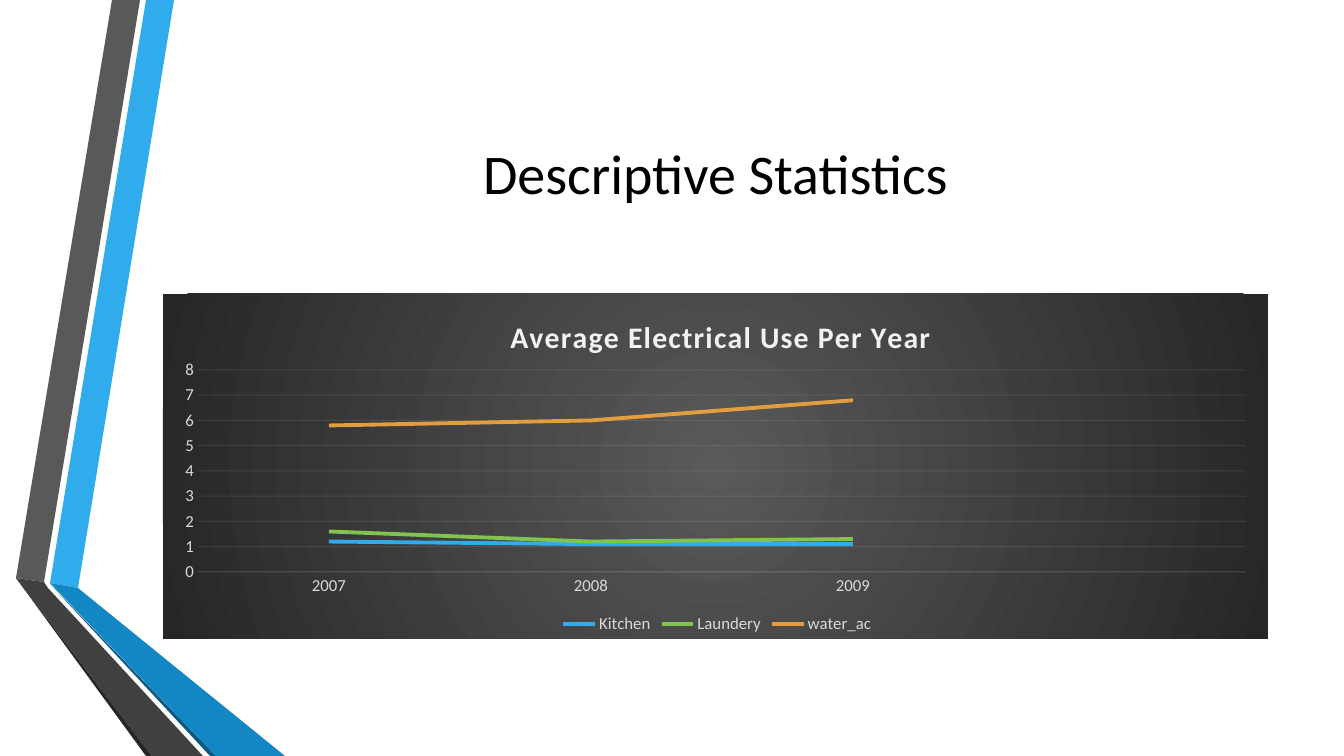
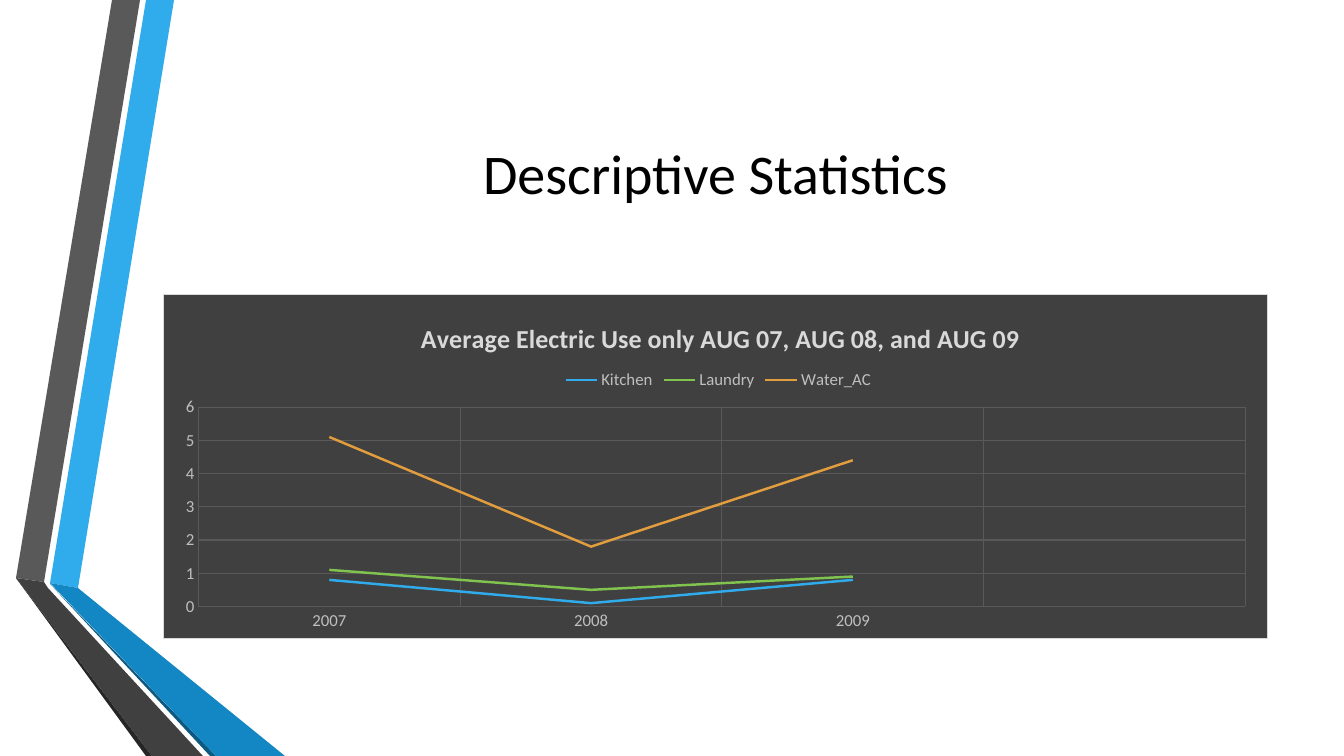
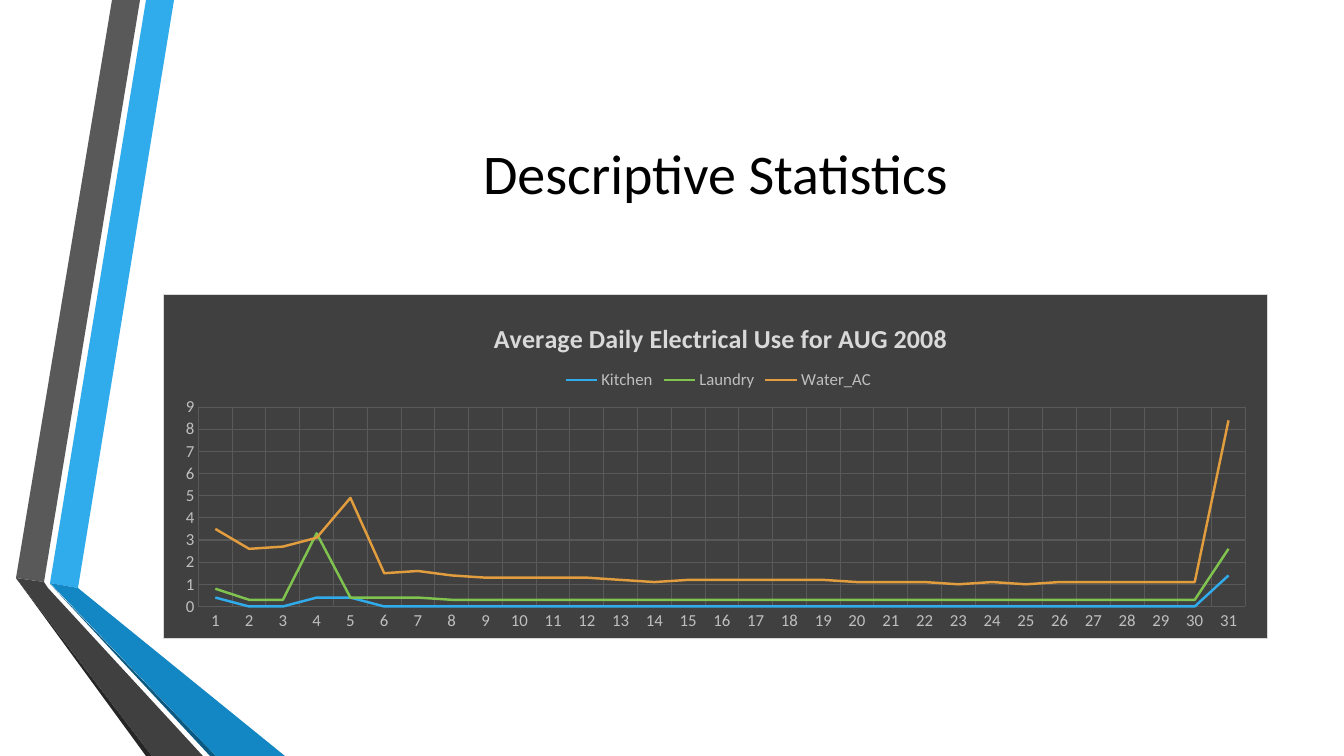
"""Build three slides of electricity-use line charts."""
from dataclasses import dataclass
from typing import Optional

import lxml.etree
import pptx
import pptx.chart.data
import pptx.dml.color
import pptx.enum.chart
import pptx.enum.text
import pptx.oxml
import pptx.oxml.ns
import pptx.util

SCALE = 914400 / 100.8  # EMU per pixel
FONT = "Calibri"
COLORS = {
    "black": "000000", "blue": "30ACEC", "mid_blue": "1287C3",
    "deep_blue": "0C5A82", "gray": "595959", "dark": "404040",
    "darkest": "262626", "green": "80C34F", "orange": "E29D3E",
    "pale": "F2F2F2", "light": "D9D9D9", "silver": "BFBFBF",
}
SERIES_COLORS = ("blue", "green", "orange")
LEGEND = pptx.enum.chart.XL_LEGEND_POSITION


@dataclass(frozen=True)
class Box:
    """A rectangle in pixels."""
    left: int
    top: int
    width: int
    height: int


@dataclass(frozen=True)
class Ribbon:
    """One filled polygon of the side ornament."""
    color: str
    points: tuple[tuple[int, int], ...]


@dataclass(frozen=True)
class Look:
    """Everything that one chart style decides."""
    title_size: float
    title_color: str
    title_spacing: int
    title_top: int
    label_color: str
    legend_pos: LEGEND
    legend_at: tuple[int, int]
    plot: Box
    line_width: float
    grid_color: str
    grid_alpha: Optional[int]
    vertical_grid: bool
    gradient: bool


@dataclass(frozen=True)
class LineChart:
    """The content of one chart."""
    title: str
    title_left: int
    look: Look
    top_value: int
    categories: list[str]
    series: dict[str, list[Optional[float]]]


RIBBONS = (
    Ribbon("blue", ((50, 583), (78, 588), (174, 0), (146, 0))),
    Ribbon("gray", ((140, 0), (112, 0), (16, 578), (44, 582))),
    Ribbon("darkest", ((16, 578), (146, 756), (152, 756))),
    Ribbon("deep_blue", ((50, 584), (210, 756), (216, 756))),
    Ribbon("mid_blue", ((50, 583), (216, 756), (285, 756), (78, 588))),
    Ribbon("dark", ((203, 756), (48, 588), (44, 582), (16, 578), (152, 756))),
)
TITLE_BOX = Box(163, 76, 1105, 193)
CHART_BOX = Box(163, 294, 1105, 345)

SPOTLIGHT = Look(21.3, "pale", 100, 311, "light", LEGEND.BOTTOM, (558, 614),
                 Box(198, 370, 1048, 202), 2.75, "pale", 10, False, True)
FLAT = Look(18.6, "light", 0, 315, "silver", LEGEND.TOP, (560, 366),
            Box(198, 407, 1048, 200), 1.75, "gray", None, True, False)

YEARS = ["2007", "2008", "2009", ""]
CHARTS = (
    LineChart("Average Electrical Use Per Year", 505, SPOTLIGHT, 8, YEARS, {
        "Kitchen": [1.2, 1.1, 1.1, None],
        "Laundery": [1.6, 1.2, 1.3, None],
        "water_ac": [5.8, 6, 6.8, None],
    }),
    LineChart("Average Electric Use only AUG 07, AUG 08, and AUG 09", 416,
              FLAT, 6, YEARS, {
                  "Kitchen": [0.8, 0.1, 0.8, None],
                  "Laundry": [1.1, 0.5, 0.9, None],
                  "Water_AC": [5.1, 1.8, 4.4, None],
              }),
    LineChart("Average Daily Electrical Use for AUG 2008", 489, FLAT, 9,
              [str(day) for day in range(1, 32)], {
                  "Kitchen": [0.4, 0, 0, 0.4, 0.4] + [0] * 25 + [1.4],
                  "Laundry": [0.8, 0.3, 0.3, 3.3, 0.4, 0.4, 0.4]
                  + [0.3] * 23 + [2.6],
                  "Water_AC": [3.5, 2.6, 2.7, 3.1, 4.9, 1.5, 1.6, 1.4, 1.3,
                               1.3, 1.3, 1.3, 1.2, 1.1, 1.2, 1.2, 1.2, 1.2,
                               1.2, 1.1, 1.1, 1.1, 1, 1.1, 1, 1.1, 1.1, 1.1,
                               1.1, 1.1, 8.4],
              }),
)


def px(length: int) -> pptx.util.Emu:
    """Turn pixels into EMU."""
    return pptx.util.Emu(round(length * SCALE))


def place(box: Box) -> tuple:
    """Give left, top, width and height in EMU."""
    return px(box.left), px(box.top), px(box.width), px(box.height)


def rgb(name: str) -> pptx.dml.color.RGBColor:
    """Look up a named colour."""
    return pptx.dml.color.RGBColor.from_string(COLORS[name])


def set_font(font, size: float, color: str, bold: bool = False) -> None:
    """Set face, size, colour and weight."""
    font.name = FONT
    font.size = pptx.util.Pt(size)
    font.bold = bold
    font.color.rgb = rgb(color)


def set_line(line, color: str, width: float,
             alpha: Optional[int] = None) -> None:
    """Set a solid line, with an opacity in percent if given."""
    line.color.rgb = rgb(color)
    line.width = pptx.util.Pt(width)
    if alpha is not None:
        clr = line.fill._xPr.find(".//" + pptx.oxml.ns.qn("a:srgbClr"))
        lxml.etree.SubElement(clr, pptx.oxml.ns.qn("a:alpha"),
                              val=str(alpha * 1000))


def set_layout(el, left: int, top: int, plot: Optional[Box] = None) -> None:
    """Pin a chart part at a pixel position of the slide."""
    qn = pptx.oxml.ns.qn
    for old in el.findall(qn("c:layout")):
        el.remove(old)
    layout = lxml.etree.Element(qn("c:layout"))
    manual = lxml.etree.SubElement(layout, qn("c:manualLayout"))
    values = {"xMode": "edge", "yMode": "edge",
              "x": (left - CHART_BOX.left) / CHART_BOX.width,
              "y": (top - CHART_BOX.top) / CHART_BOX.height}
    if plot:
        values = {"layoutTarget": "inner", **values,
                  "w": plot.width / CHART_BOX.width,
                  "h": plot.height / CHART_BOX.height}
    for tag, value in values.items():
        lxml.etree.SubElement(manual, qn("c:" + tag), val=str(value))
    overlay = el.find(qn("c:overlay"))
    if overlay is None:
        el.insert(0, layout)
    else:
        overlay.addprevious(layout)


def fill_chart(chart, gradient: bool) -> None:
    """Paint the chart background and its border."""
    if gradient:
        inner = (
            '<a:gradFill><a:gsLst>'
            f'<a:gs pos="0"><a:srgbClr val="{COLORS["gray"]}"/></a:gs>'
            f'<a:gs pos="100000"><a:srgbClr val="{COLORS["darkest"]}"/></a:gs>'
            '</a:gsLst><a:path path="circle"><a:fillToRect l="50000" '
            't="50000" r="50000" b="50000"/></a:path></a:gradFill>'
            '<a:ln><a:noFill/></a:ln>')
    else:
        inner = (
            f'<a:solidFill><a:srgbClr val="{COLORS["dark"]}"/></a:solidFill>'
            '<a:ln w="9525"><a:solidFill>'
            f'<a:srgbClr val="{COLORS["light"]}"/></a:solidFill></a:ln>')
    sp_pr = pptx.oxml.parse_xml(
        f'<c:spPr {pptx.oxml.ns.nsdecls("c", "a")}>{inner}</c:spPr>')
    chart._chartSpace.find(pptx.oxml.ns.qn("c:chart")).addnext(sp_pr)


def style_axes(chart, look: Look, top_value: int) -> None:
    """Format both axes and their gridlines."""
    val, cat = chart.value_axis, chart.category_axis
    val.minimum_scale, val.maximum_scale, val.major_unit = 0, top_value, 1
    val.has_major_gridlines = True
    cat.has_major_gridlines = look.vertical_grid
    for axis in (val, cat):
        axis.major_tick_mark = pptx.enum.chart.XL_TICK_MARK.NONE
        axis.minor_tick_mark = pptx.enum.chart.XL_TICK_MARK.NONE
        set_font(axis.tick_labels.font, 12, look.label_color)
        axis.format.line.fill.background()
        if axis.has_major_gridlines:
            set_line(axis.major_gridlines.format.line, look.grid_color, 0.75,
                     look.grid_alpha)
    if not look.vertical_grid:
        set_line(cat.format.line, look.grid_color, 0.75, look.grid_alpha)


def add_line_chart(s, item: LineChart) -> None:
    """Add one line chart to the slide."""
    look = item.look
    data = pptx.chart.data.CategoryChartData()
    data.categories = item.categories
    for name, values in item.series.items():
        data.add_series(name, values)
    chart = s.shapes.add_chart(pptx.enum.chart.XL_CHART_TYPE.LINE,
                               *place(CHART_BOX), data).chart
    set_font(chart.font, 10, "black")
    fill_chart(chart, look.gradient)

    chart.has_title = True
    r = chart.chart_title.text_frame.paragraphs[0].add_run()
    r.text = item.title
    set_font(r.font, look.title_size, look.title_color, bold=True)
    r._r.get_or_add_rPr().set("spc", str(look.title_spacing))
    set_layout(chart.chart_title._element, item.title_left, look.title_top)

    chart.has_legend = True
    chart.legend.position = look.legend_pos
    chart.legend.include_in_layout = False
    set_font(chart.legend.font, 12, look.label_color)
    set_layout(chart.legend._element, *look.legend_at)

    set_layout(chart._chartSpace.chart.plotArea, look.plot.left,
               look.plot.top, look.plot)
    style_axes(chart, look, item.top_value)
    chart.plots[0].vary_by_categories = False
    for series, color in zip(chart.plots[0].series, SERIES_COLORS):
        series.smooth = False
        set_line(series.format.line, color, look.line_width)


def add_ribbon(s, ribbon: Ribbon) -> None:
    """Draw one polygon of the side ornament."""
    builder = s.shapes.build_freeform(*ribbon.points[0], scale=SCALE)
    builder.add_line_segments(ribbon.points[1:], close=True)
    sp = builder.convert_to_shape()
    sp.fill.solid()
    sp.fill.fore_color.rgb = rgb(ribbon.color)
    sp.line.fill.background()
    sp.shadow.inherit = False


def add_title(s, text: str) -> None:
    """Add the centred slide title."""
    tf = s.shapes.add_textbox(*place(TITLE_BOX)).text_frame
    tf.word_wrap = True
    tf.vertical_anchor = pptx.enum.text.MSO_ANCHOR.MIDDLE
    p = tf.paragraphs[0]
    p.alignment = pptx.enum.text.PP_ALIGN.CENTER
    r = p.add_run()
    r.text = text
    set_font(r.font, 40, "black")


def main() -> None:
    """Build and save the presentation."""
    prs = pptx.Presentation()
    prs.slide_width, prs.slide_height = px(1344), px(756)
    for item in CHARTS:
        s = prs.slides.add_slide(prs.slide_layouts[6])
        for ribbon in RIBBONS:
            add_ribbon(s, ribbon)
        add_title(s, "Descriptive Statistics")
        add_line_chart(s, item)
    prs.save("out.pptx")


main()
